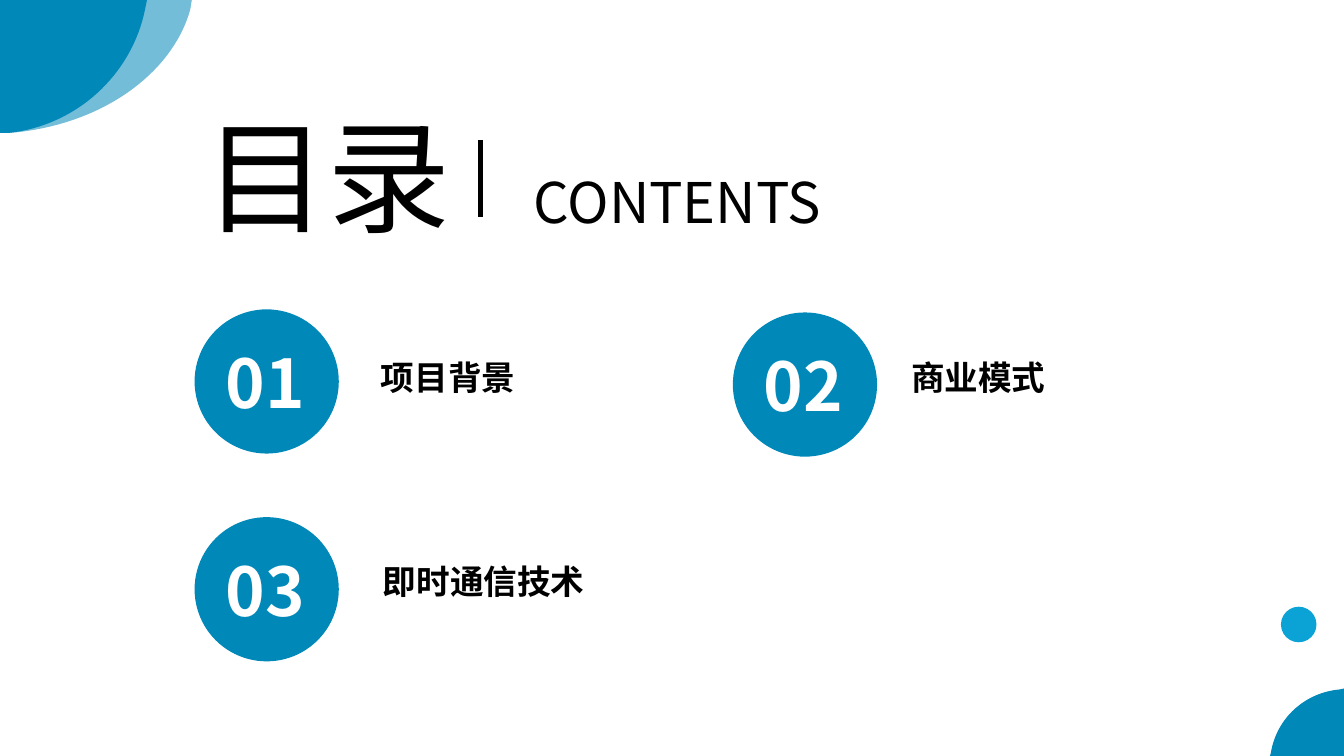
from dataclasses import dataclass

from lxml import etree
from pptx import Presentation
from pptx.dml.color import RGBColor
from pptx.enum.shapes import MSO_CONNECTOR, MSO_SHAPE
from pptx.enum.text import MSO_ANCHOR, PP_ALIGN
from pptx.oxml.ns import qn
from pptx.util import Pt

OVAL = MSO_SHAPE.OVAL
STRAIGHT = MSO_CONNECTOR.STRAIGHT
MIDDLE = MSO_ANCHOR.MIDDLE
LEFT, JUSTIFY = PP_ALIGN.LEFT, PP_ALIGN.JUSTIFY

FONT = "Noto Sans CJK SC"
COLORS = {"blue": "0088B9", "sky": "0BA3D6", "black": "000000", "white": "FFFFFF"}
TITLE_ONLY = 5
CURVE_STEPS = 32
BADGE_SIZE = 103
LABEL_WIDTH, LABEL_HEIGHT = 188.6, 36

Point = tuple[float, float]


@dataclass(frozen=True)
class Topic:
    number: str
    label: str
    badge: Point
    label_at: Point


@dataclass(frozen=True)
class Corner:
    """Straight edges, then a cubic curve from the last edge point."""
    edges: list[Point]
    curve: list[Point]
    opacity: int = 100


TOPICS = [
    Topic("01", "项目背景", (139, 221), (265, 251.3)),
    Topic("02", "商业模式", (523.5, 223.2), (643.7, 251.3)),
    Topic("03", "即时通信技术", (139, 369.4), (266.4, 397.4)),
]

CORNERS = [
    Corner([(-0.5, 95), (-0.5, 0), (137, 0), (136, 6.5)],
           [(123.1, 53.3), (71.3, 90), (6.5, 95)], opacity=55),
    Corner([(0, 95), (0, 0), (105, 0), (103.7, 6.5)],
           [(94.3, 53.3), (54.7, 90), (5.8, 95)]),
    Corner([(960, 491.8), (960, 540), (907.2, 540), (907.9, 537.1)],
           [(912.2, 512.6), (932.4, 494.6), (956.9, 492.5)]),
]


def rgb(name: str) -> RGBColor:
    return RGBColor.from_string(COLORS[name])


def style_paragraph(para, size: float, color: str, bold: bool, align) -> None:
    para.alignment = align
    font = para.font
    font.name, font.size, font.bold = FONT, Pt(size), bold
    font.color.rgb = rgb(color)
    defaults = para._p.find(qn("a:pPr")).find(qn("a:defRPr"))
    etree.SubElement(defaults, qn("a:ea"), typeface=FONT)


def paint(shape, color: str, opacity: int = 100) -> None:
    shape.shadow.inherit = False
    shape.fill.solid()
    shape.fill.fore_color.rgb = rgb(color)
    shape.line.fill.background()
    if opacity < 100:
        tone = shape._element.spPr.find(qn("a:solidFill"))[0]
        etree.SubElement(tone, qn("a:alpha"), val=str(opacity * 1000))


def curve_points(start: Point, curve: list[Point]) -> list[Point]:
    """Sample a cubic Bezier curve, leaving out its start."""
    controls = [start, *curve]
    points = []
    for step in range(1, CURVE_STEPS + 1):
        t = step / CURVE_STEPS
        weights = ((1 - t) ** 3, 3 * t * (1 - t) ** 2, 3 * t * t * (1 - t), t ** 3)
        points.append(tuple(sum(w * c[axis] for w, c in zip(weights, controls))
                            for axis in (0, 1)))
    return points


def add_corner(page, corner: Corner) -> None:
    outline = corner.edges + curve_points(corner.edges[-1], corner.curve)
    points = [(Pt(x), Pt(y)) for x, y in outline]
    builder = page.shapes.build_freeform(*points[0])
    builder.add_line_segments(points[1:], close=True)
    paint(builder.convert_to_shape(), "blue", corner.opacity)


def add_circle(page, at: Point, size: float, color: str):
    circle = page.shapes.add_shape(OVAL, Pt(at[0]), Pt(at[1]), Pt(size), Pt(size))
    paint(circle, color)
    return circle


def add_title(page) -> None:
    title = page.shapes.title
    title.left, title.top, title.width, title.height = Pt(139), Pt(67.7), Pt(463.7), Pt(113.8)
    frame = title.text_frame
    frame.word_wrap = True
    frame.vertical_anchor = MIDDLE
    para = frame.paragraphs[0]
    tabs = etree.SubElement(para._p.get_or_add_pPr(), qn("a:tabLst"))
    etree.SubElement(tabs, qn("a:tab"), pos=str(Pt(235)), algn="l")
    style_paragraph(para, 88, "black", False, LEFT)
    for text, size in (("目录\t", 88), ("CONTENTS", 40)):
        span = para.add_run()
        span.text = text
        span.font.size = Pt(size)


def add_title_divider(page) -> None:
    divider = page.shapes.add_connector(STRAIGHT, Pt(343.4), Pt(100), Pt(343.4), Pt(154.8))
    divider.line.color.rgb = rgb("black")
    divider.line.width = Pt(3.5)
    etree.SubElement(divider._element.spPr, qn("a:effectLst"))


def add_topic(page, topic: Topic) -> None:
    badge = add_circle(page, topic.badge, BADGE_SIZE, "blue")
    badge.text_frame.vertical_anchor = MIDDLE
    badge.text_frame.text = topic.number
    style_paragraph(badge.text_frame.paragraphs[0], 48, "white", True, JUSTIFY)

    left, top = topic.label_at
    box = page.shapes.add_textbox(Pt(left), Pt(top), Pt(LABEL_WIDTH), Pt(LABEL_HEIGHT))
    box.text_frame.word_wrap = True
    box.text_frame.text = topic.label
    style_paragraph(box.text_frame.paragraphs[0], 24, "black", True, JUSTIFY)


def main() -> None:
    deck = Presentation()
    deck.slide_width, deck.slide_height = Pt(960), Pt(540)
    page = deck.slides.add_slide(deck.slide_layouts[TITLE_ONLY])
    for corner in CORNERS:
        add_corner(page, corner)
    add_title(page)
    add_title_divider(page)
    for topic in TOPICS:
        add_topic(page, topic)
    add_circle(page, (915, 433.4), 25.4, "sky")
    deck.save("out.pptx")


if __name__ == "__main__":
    main()
